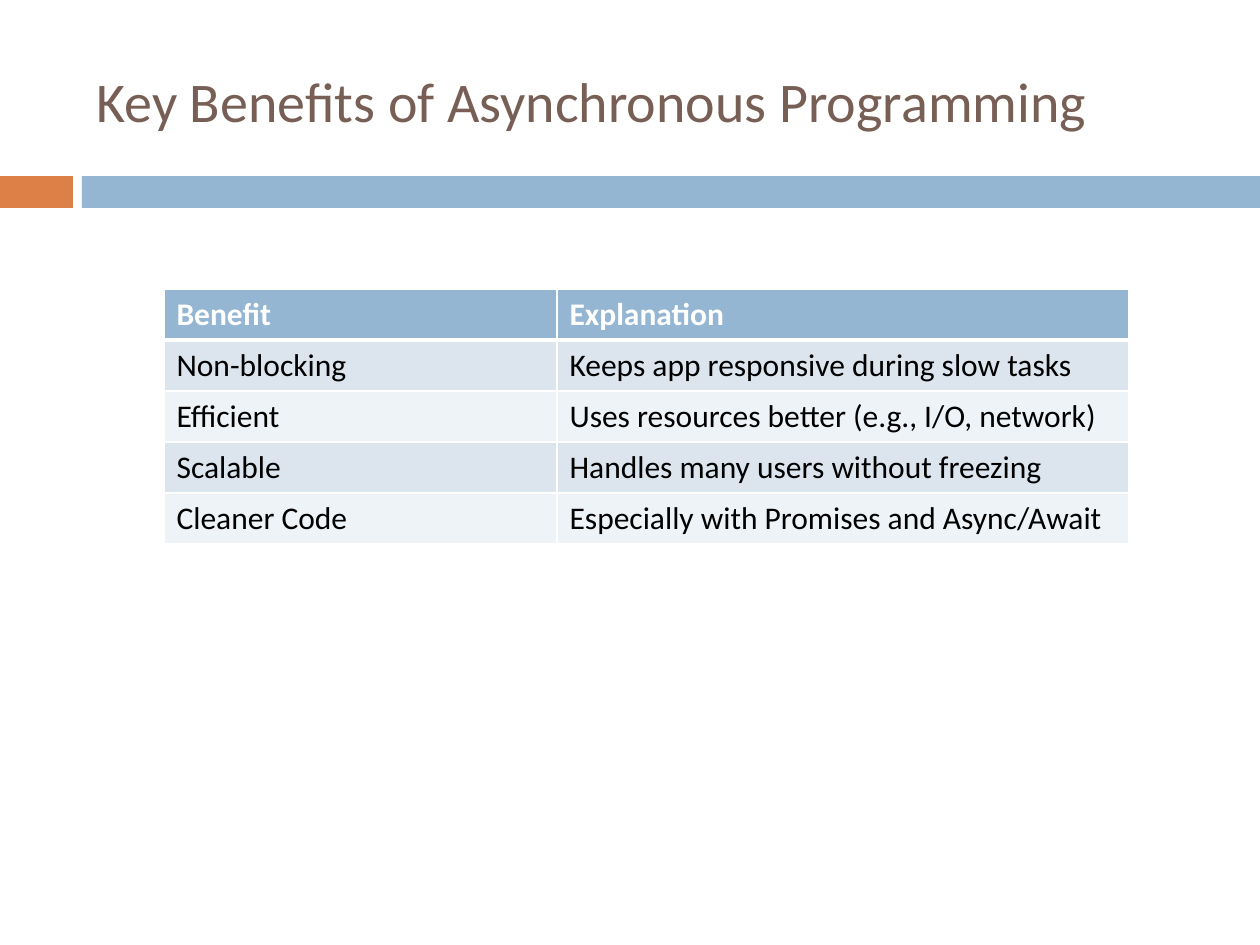
"""Build a slide with a table of the key benefits of asynchronous programming."""
from lxml import etree
from pptx import Presentation
from pptx import util as u
from pptx.dml.color import RGBColor
from pptx.enum import shapes, text
from pptx.oxml import ns

ORANGE = RGBColor(0xDD, 0x80, 0x47)
BLUE = RGBColor(0x94, 0xB6, 0xD2)
BROWN = RGBColor(0x77, 0x5F, 0x55)
BAND_DARK = RGBColor(0xDC, 0xE5, 0xEE)
BAND_LIGHT = RGBColor(0xEE, 0xF3, 0xF7)
WHITE = RGBColor(0xFF, 0xFF, 0xFF)
BLACK = RGBColor(0, 0, 0)

COLUMN_WIDTHS = [393, 572]
ROW_HEIGHT = 51
ROWS = [
    ("Benefit", "Explanation"),
    ("Non-blocking", "Keeps app responsive during slow tasks"),
    ("Efficient", "Uses resources better (e.g., I/O, network)"),
    ("Scalable", "Handles many users without freezing"),
    ("Cleaner Code", "Especially with Promises and Async/Await"),
]


def px(length):
    return u.Emu(round(length * 914400 / 126))


def add_text(para, words, size, color, bold=False):
    span = para.add_run()
    span.text = words
    span.font.name = "Calibri"
    span.font.size = u.Pt(size)
    span.font.bold = bold
    span.font.color.rgb = color


deck = Presentation()
deck.slide_width, deck.slide_height = px(1260), px(945)
page = deck.slides.add_slide(deck.slide_layouts[6])

for left, width, color in [(0, 73, ORANGE), (82, 1178, BLUE)]:
    bar = page.shapes.add_shape(
        shapes.MSO_SHAPE.RECTANGLE, px(left), px(176), px(width), px(32))
    bar.shadow.inherit = False
    bar.fill.solid()
    bar.fill.fore_color.rgb = color
    bar.line.fill.background()

title = page.shapes.add_textbox(px(84), px(32), px(1124), px(136))
title.text_frame.word_wrap = True
title.text_frame.vertical_anchor = text.MSO_ANCHOR.MIDDLE
add_text(title.text_frame.paragraphs[0], "Key Benefits of Asynchronous Programming", 32, BROWN)

table = page.shapes.add_table(
    len(ROWS), len(COLUMN_WIDTHS), px(164), px(289),
    px(sum(COLUMN_WIDTHS)), px(ROW_HEIGHT * len(ROWS))).table
for column, width in zip(table.columns, COLUMN_WIDTHS):
    column.width = px(width)

for row_index, row in enumerate(ROWS):
    header = row_index == 0
    band = BLUE if header else BAND_DARK if row_index % 2 else BAND_LIGHT
    table.rows[row_index].height = px(ROW_HEIGHT)
    for column_index, words in enumerate(row):
        cell = table.cell(row_index, column_index)
        cell.vertical_anchor = text.MSO_ANCHOR.MIDDLE
        add_text(cell.text_frame.paragraphs[0], words, 18, WHITE if header else BLACK, header)
        properties = cell._tc.get_or_add_tcPr()
        thick_side = "B" if header else "T" if row_index == 1 else ""
        for side in "LRTB":
            points = 3 if side == thick_side else 1
            border = etree.SubElement(properties, ns.qn(f"a:ln{side}"), w=str(u.Pt(points)))
            paint = etree.SubElement(border, ns.qn("a:solidFill"))
            etree.SubElement(paint, ns.qn("a:srgbClr"), val=str(WHITE))
        cell.fill.solid()
        cell.fill.fore_color.rgb = band

deck.save("out.pptx")
